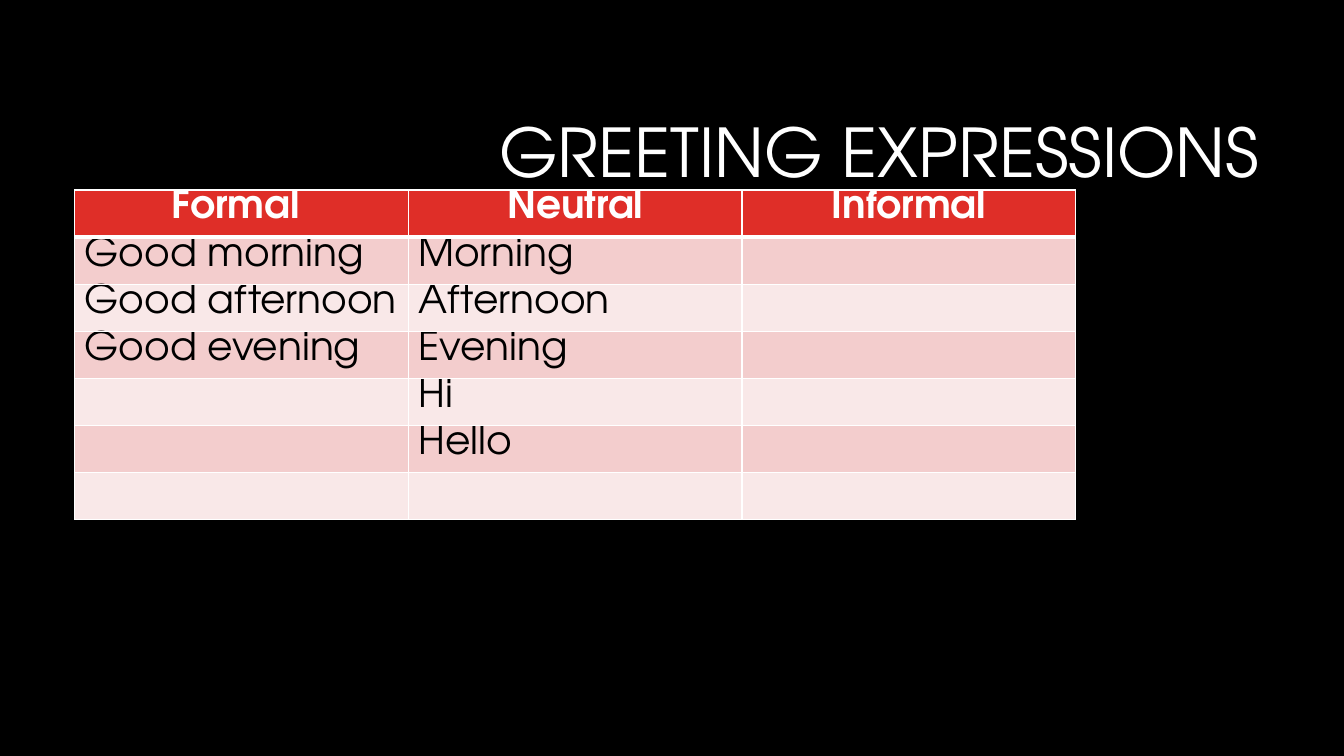
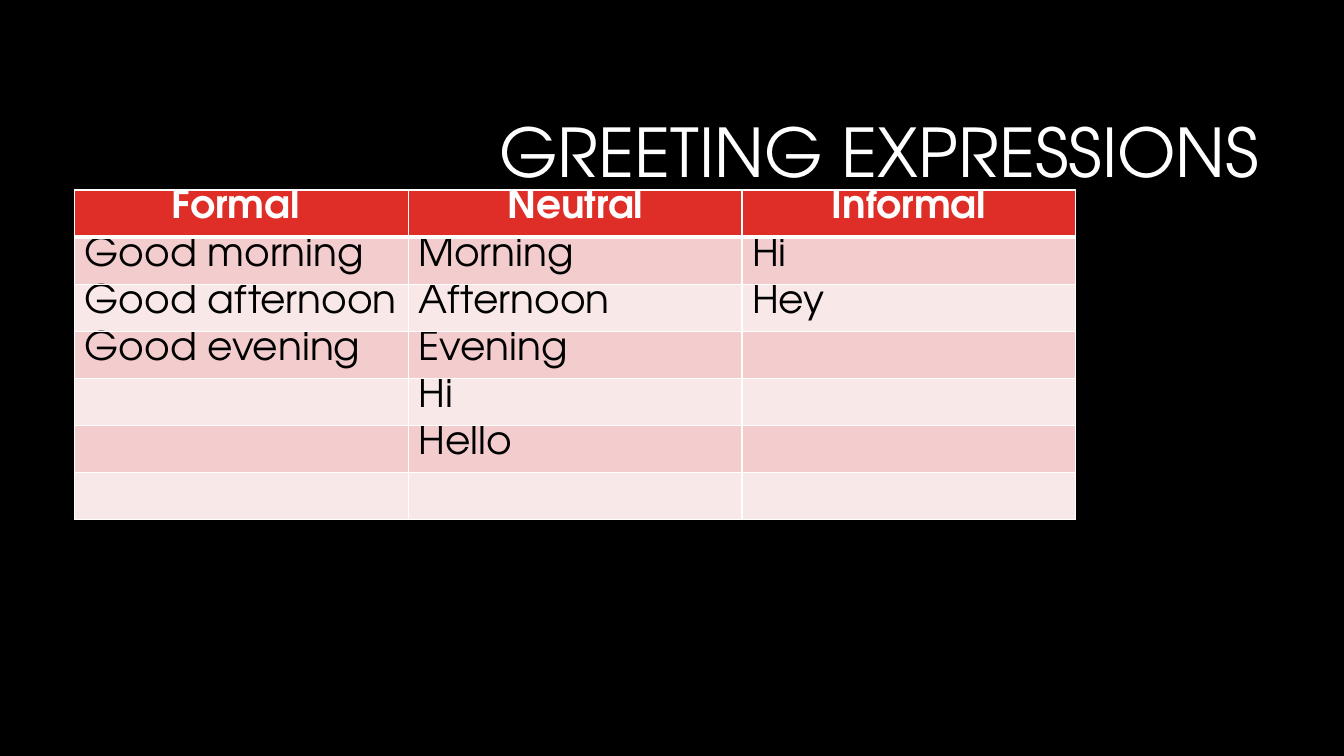
from dataclasses import dataclass

from lxml import etree
from pptx import Presentation
from pptx import util as u
from pptx.dml.color import RGBColor
from pptx.enum import text
from pptx.oxml import ns


@dataclass(frozen=True)
class Theme:
    """Colours, font and type sizes of the deck."""
    font: str = "TeX Gyre Adventor"
    back: str = "000000"
    light: str = "FFFFFF"
    dark: str = "000000"
    head: str = "DF2E28"
    bands: tuple = ("F3CDCD", "F9E8E8")
    title: int = 48
    body: int = 28
    thin: int = 1
    thick: int = 3


THEME = Theme()
TITLE = "GREETING EXPRESSIONS"
TITLE_BOX = (8.05, 2.13, 23.93, 3.58)
GRID_BOX = (1.88, 4.79, 25.23, 8.26)
HEADS = ("Formal ", "Neutral", "Informal")
FORMAL = ("Good morning", "Good afternoon", "Good evening")
NEUTRAL = ("Morning", "Afternoon", "Evening", "Hi", "Hello")
INFORMAL = ((), ("Hi", "Hey"))
ROWS = 7


def paint(fill, tone):
    """Give a fill one solid colour."""
    fill.solid()
    fill.fore_color.rgb = RGBColor.from_string(tone)


def write(frame, words, size, tone, align, bold=False):
    """Put one formatted paragraph into a text frame."""
    frame.text = words
    para = frame.paragraphs[0]
    para.alignment = align
    for run in para.runs:
        font = run.font
        font.name, font.size, font.bold = THEME.font, u.Pt(size), bold
        font.color.rgb = RGBColor.from_string(tone)
    return para


def edge(cell, side, width):
    """Draw one border of a table cell."""
    props = cell._tc.get_or_add_tcPr()
    line = etree.SubElement(props, ns.qn("a:ln" + side), w=str(u.Pt(width)))
    solid = etree.SubElement(line, ns.qn("a:solidFill"))
    etree.SubElement(solid, ns.qn("a:srgbClr"), val=THEME.light)


def add_title(slide, box):
    """Place the slide title in its box."""
    frame = slide.shapes.add_textbox(*map(u.Cm, box)).text_frame
    frame.word_wrap = True
    frame.vertical_anchor = text.MSO_ANCHOR.MIDDLE
    para = write(frame, TITLE, THEME.title, THEME.light, text.PP_ALIGN.RIGHT)
    para.line_spacing = 0.9


def style_cell(cell, row, words):
    """Fill, border and letter one table cell."""
    top = row == 0
    cell.margin_top = cell.margin_bottom = 0
    for side in "LRTB":
        heavy = (row, side) in ((0, "B"), (1, "T"))
        edge(cell, side, THEME.thick if heavy else THEME.thin)
    paint(cell.fill, THEME.head if top else THEME.bands[(row - 1) % 2])
    if words:
        write(cell.text_frame, words, THEME.body,
              THEME.light if top else THEME.dark,
              text.PP_ALIGN.CENTER if top else text.PP_ALIGN.LEFT, top)


def add_grid(slide, box, lists):
    """Place the table of greetings, one list to a column."""
    table = slide.shapes.add_table(ROWS, len(HEADS), *map(u.Cm, box)).table
    table.first_row = table.horz_banding = False
    for line in table.rows:
        line.height = u.Cm(box[3] / ROWS)
    for col, (head, items) in enumerate(zip(HEADS, lists)):
        table.columns[col].width = u.Cm(box[2] / len(HEADS))
        column = (head, *items)
        for row in range(ROWS):
            words = column[row] if row < len(column) else ""
            style_cell(table.cell(row, col), row, words)


def add_slide(deck, casual):
    """Add one slide with its title and table."""
    slide = deck.slides.add_slide(deck.slide_layouts[6])
    paint(slide.background.fill, THEME.back)
    add_title(slide, TITLE_BOX)
    add_grid(slide, GRID_BOX, (FORMAL, NEUTRAL, casual))


def main():
    """Build and save the deck."""
    deck = Presentation()
    deck.slide_width, deck.slide_height = u.Cm(33.87), u.Cm(19.05)
    for casual in INFORMAL:
        add_slide(deck, casual)
    deck.save("out.pptx")


if __name__ == "__main__":
    main()
